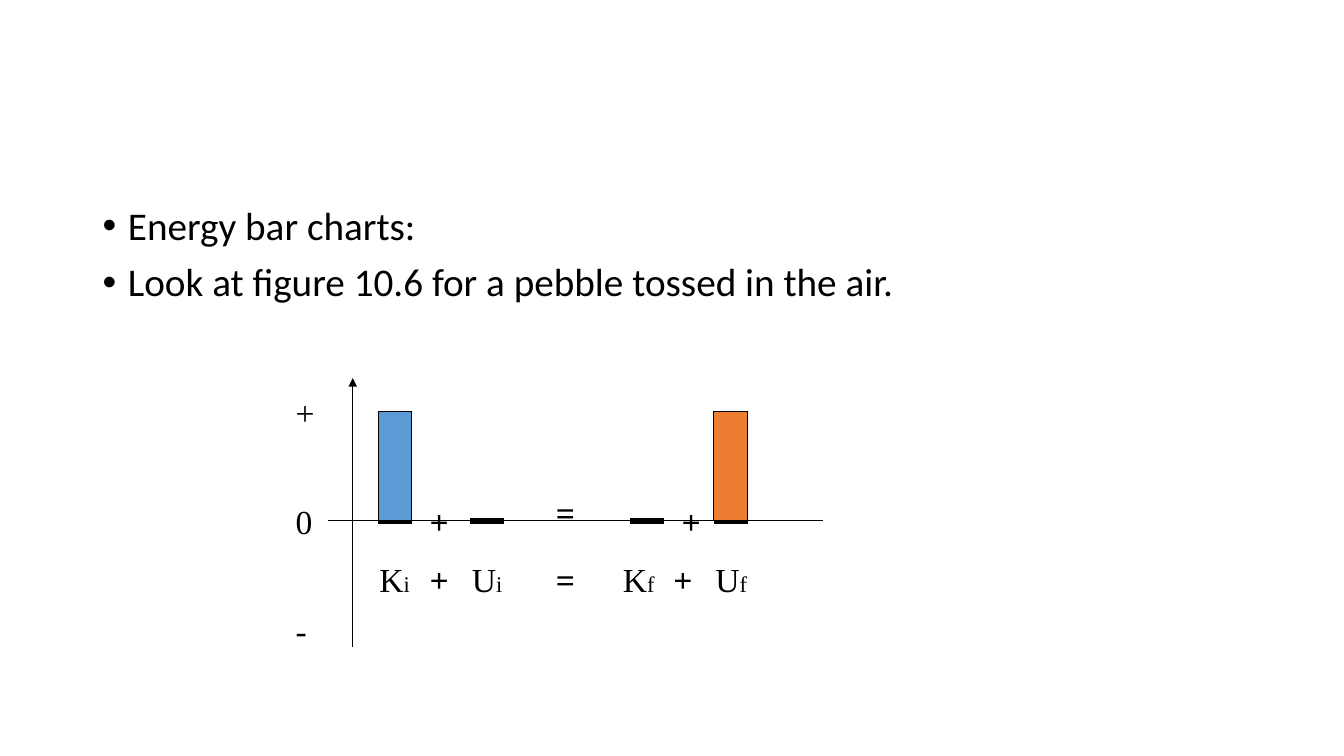
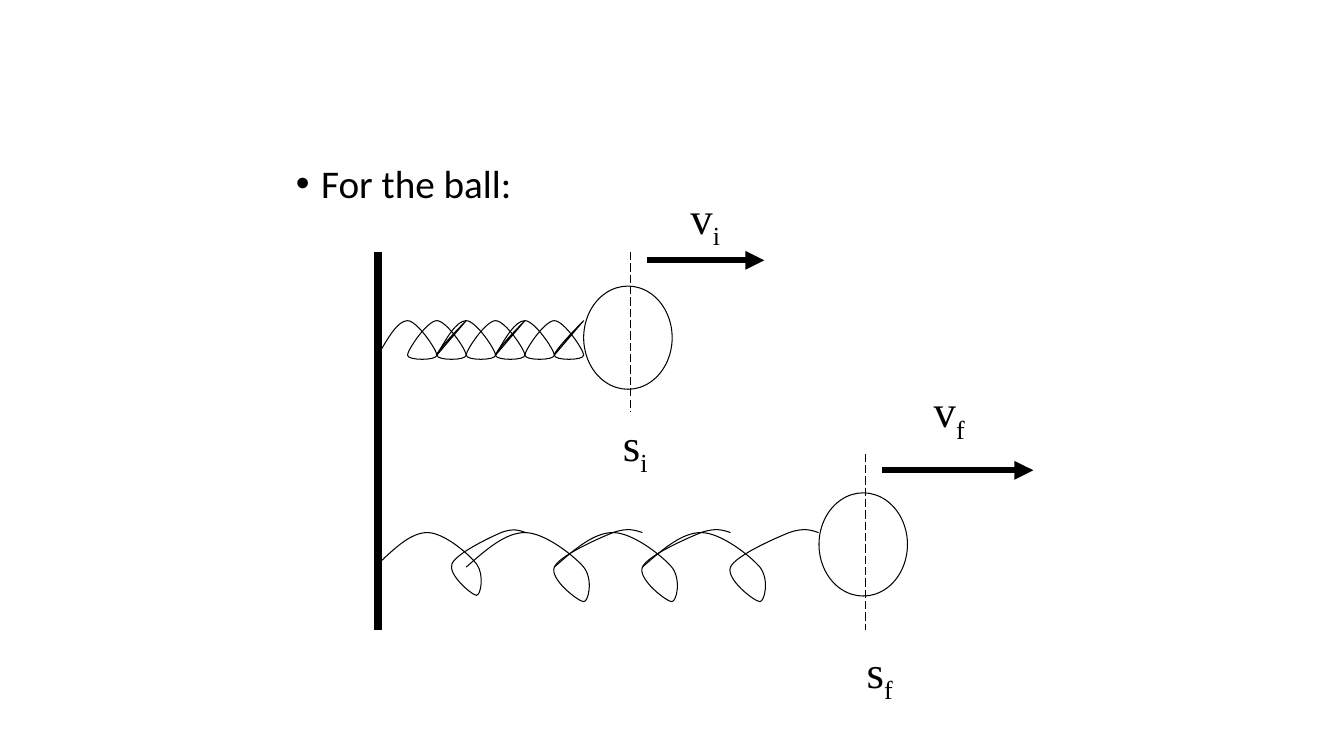
from dataclasses import dataclass

from lxml import etree
from pptx import Presentation
from pptx.dml.color import RGBColor
from pptx.enum import dml, shapes, text
from pptx.oxml import ns
from pptx.util import Cm, Pt

BLACK, WHITE = "000000", "FFFFFF"
BLUE, ORANGE = "5B9BD5", "ED7D31"
BODY_FONT, LABEL_FONT = "Calibri", "Times New Roman"
THIN, HEAVY, WALL = 0.75, 4.5, 6

Point = tuple[float, float]

TIGHT_CURVE: list[Point] = [
    (0, 1), (0.33, 0.5), (0.67, 0), (1, 0),
    (1.33, 0), (2, 0.85), (2, 1), (2, 1.16), (1, 1.16), (1, 1),
    (1, 0.85), (1.67, 0), (2, 0), (2.33, 0), (3, 0.85), (3, 1),
    (3, 1.16), (2, 1.16), (2, 1), (2, 0.85), (3, 0), (3, 0),
    (3, 0), (2, 1), (2, 1), (2, 1), (2.5, 0.5), (3, 0),
]
LOOSE_CURVE: list[Point] = [
    (0, 1), (0.67, 0.5), (1.33, 0), (2, 0),
    (2.67, 0), (3.67, 0.67), (4, 1), (4.33, 1.35), (4.17, 2), (4, 2),
    (3.83, 2), (2.83, 1.35), (3, 1), (3.17, 0.67), (4.5, 0.17), (5, 0),
    (5.5, -0.15), (5.75, -0.07), (6, 0),
]


@dataclass
class Label:
    x: float
    y: float
    main: str
    sub: str = ""
    bold: bool = False


@dataclass
class LabelStyle:
    size: float
    sub_size: float
    width: float
    height: float
    baseline: int = 0


@dataclass
class Line:
    x1: float
    y1: float
    x2: float
    y2: float
    width: float = THIN
    arrow: bool = False
    dashed: bool = False


@dataclass
class Coil:
    curve: list[Point]
    x: float
    top: float
    dx: float = 0.74
    dy: float = 0.87


CHART_LABEL = LabelStyle(24, 16, 1.5, 1.27)
BALL_LABEL = LabelStyle(32, 32, 1.9, 1.6, -25000)


def rgb(value: str) -> RGBColor:
    return RGBColor.from_string(value)


def style_font(r, name: str, size: float, bold: bool = False) -> None:
    r.font.name, r.font.size, r.font.bold = name, Pt(size), bold
    r.font.color.rgb = rgb(BLACK)


def outline(sp, width: float = THIN) -> None:
    sp.line.color.rgb = rgb(BLACK)
    sp.line.width = Pt(width)


def add_body_slide(prs, box: tuple[float, ...], lines: list[str]):
    slide = prs.slides.add_slide(prs.slide_layouts[1])
    title = slide.shapes.title._element
    title.getparent().remove(title)
    body = slide.placeholders[1]
    body.left, body.top, body.width, body.height = map(Cm, box)
    tf = body.text_frame
    tf.text = "\n".join(lines)
    tf.auto_size = text.MSO_AUTO_SIZE.NONE
    for p in tf.paragraphs:
        p.line_spacing, p.space_before = 0.9, Pt(10)
        indent = Cm(0.64)
        p_pr = p._p.get_or_add_pPr()
        p_pr.set("marL", str(indent))
        p_pr.set("indent", str(-indent))
        style_font(p.runs[0], BODY_FONT, 28)
    return slide


def add_label(parent, label: Label, style: LabelStyle) -> None:
    sp = parent.add_textbox(Cm(label.x), Cm(label.y), Cm(style.width), Cm(style.height))
    tf = sp.text_frame
    tf.word_wrap = True
    p = tf.paragraphs[0]
    p.text = label.main
    style_font(p.runs[0], LABEL_FONT, style.size, label.bold)
    if label.sub:
        r = p.add_run()
        r.text = label.sub
        style_font(r, LABEL_FONT, style.sub_size)
        if style.baseline:
            r._r.get_or_add_rPr().set("baseline", str(style.baseline))


def add_line(parent, line: Line) -> None:
    ends = map(Cm, (line.x1, line.y1, line.x2, line.y2))
    sp = parent.add_connector(shapes.MSO_CONNECTOR.STRAIGHT, *ends)
    outline(sp, line.width)
    if line.dashed:
        sp.line.dash_style = dml.MSO_LINE.LONG_DASH
    sp_pr = sp._element.spPr
    if line.arrow:
        etree.SubElement(sp_pr.find(ns.qn("a:ln")), ns.qn("a:tailEnd"), type="triangle")
    etree.SubElement(sp_pr, ns.qn("a:effectLst"))


def add_filled(parent, kind, box: tuple[float, ...], fill: str) -> None:
    sp = parent.add_shape(kind, *map(Cm, box))
    sp.shadow.inherit = False
    sp.fill.solid()
    sp.fill.fore_color.rgb = rgb(fill)
    outline(sp)


def bend_segments(sp) -> None:
    segments = list(sp._element.iter(ns.qn("a:lnTo")))
    outline_path = segments[0].getparent()
    for i in range(0, len(segments), 3):
        curve = etree.SubElement(outline_path, ns.qn("a:cubicBezTo"))
        for segment in segments[i:i + 3]:
            curve.append(segment[0])
            outline_path.remove(segment)


def add_coil(parent, coil: Coil) -> None:
    knots = [(Cm(coil.x + x * coil.dx), Cm(coil.top + y * coil.dy)) for x, y in coil.curve]
    builder = parent.build_freeform(*knots[0])
    builder.add_line_segments(knots[1:], close=False)
    sp = builder.convert_to_shape()
    bend_segments(sp)
    sp.shadow.inherit = False
    sp.fill.background()
    outline(sp)


def build_bar_chart_slide(prs) -> None:
    slide = add_body_slide(prs, (2.33, 5.08, 29.21, 12.09), [
        "Energy bar charts:",
        "Look at figure 10.6 for a pebble tossed in the air.",
    ])
    group = slide.shapes.add_group_shape().shapes
    zero, bar_width, bar_height = 13.12, 0.85, 2.75
    add_line(group, Line(8.89, 16.31, 8.89, 9.53, arrow=True))
    add_line(group, Line(8.26, zero, 20.74, zero))
    for x in (9.53, 11.85, 15.88, 17.99):
        add_line(group, Line(x, zero, x + bar_width, zero, HEAVY))
    for x, fill in ((9.53, BLUE), (17.99, ORANGE)):
        add_filled(group, shapes.MSO_SHAPE.RECTANGLE,
                   (x, zero - bar_height, bar_width, bar_height), fill)
    sign_row, term_row = 12.49, 13.97
    labels = [Label(7.2, sign_row + i * bar_height, mark)
              for i, mark in ((-1, "+"), (0, "0"), (1, "-"))]
    labels += [
        Label(10.58, sign_row, "+", bold=True),
        Label(13.76, 12.28, "=", bold=True),
        Label(16.93, sign_row, "+", bold=True),
        Label(9.31, term_row, "K", "i"),
        Label(10.58, term_row, "+", bold=True),
        Label(11.64, term_row, "U", "i"),
        Label(13.76, term_row, "=", bold=True),
        Label(15.45, term_row, "K", "f"),
        Label(16.72, term_row, "+", bold=True),
        Label(17.78, term_row, "U", "f"),
    ]
    for label in labels:
        add_label(group, label, CHART_LABEL)


def build_spring_slide(prs) -> None:
    slide = add_body_slide(prs, (7.2, 4.02, 21.17, 11.43), ["For the ball:"])
    parent = slide.shapes
    wall, loose_top = 9.53, 13.42
    add_line(parent, Line(wall, 6.35, wall, 15.88, WALL))
    coils = [Coil(TIGHT_CURVE, wall + i * 1.48, 8.08) for i in range(3)]
    coils.append(Coil(LOOSE_CURVE, wall, loose_top, 0.62, 0.79))
    coils += [Coil(LOOSE_CURVE, 11.75 + i * 2.22, loose_top) for i in range(3)]
    for coil in coils:
        add_coil(parent, coil)
    for x, y in ((14.71, 7.21), (20.64, 12.42)):
        add_filled(parent, shapes.MSO_SHAPE.OVAL, (x, y, 2.23, 2.6), WHITE)
    for line in (
        Line(15.88, 6.35, 15.88, 10.37, dashed=True),
        Line(21.8, 11.43, 21.8, 15.88, dashed=True),
        Line(16.3, 6.56, 19.26, 6.56, HEAVY, arrow=True),
        Line(22.23, 11.85, 26.04, 11.85, HEAVY, arrow=True),
    ):
        add_line(parent, line)
    for label in (
        Label(17.15, 4.66, "v", "i"),
        Label(23.28, 9.53, "v", "f"),
        Label(15.45, 10.37, "s", "i"),
        Label(21.59, 16.09, "s", "f"),
    ):
        add_label(parent, label, BALL_LABEL)


def main() -> None:
    prs = Presentation()
    prs.slide_width, prs.slide_height = Cm(33.87), Cm(19.05)
    build_bar_chart_slide(prs)
    build_spring_slide(prs)
    prs.save("out.pptx")


if __name__ == "__main__":
    main()
